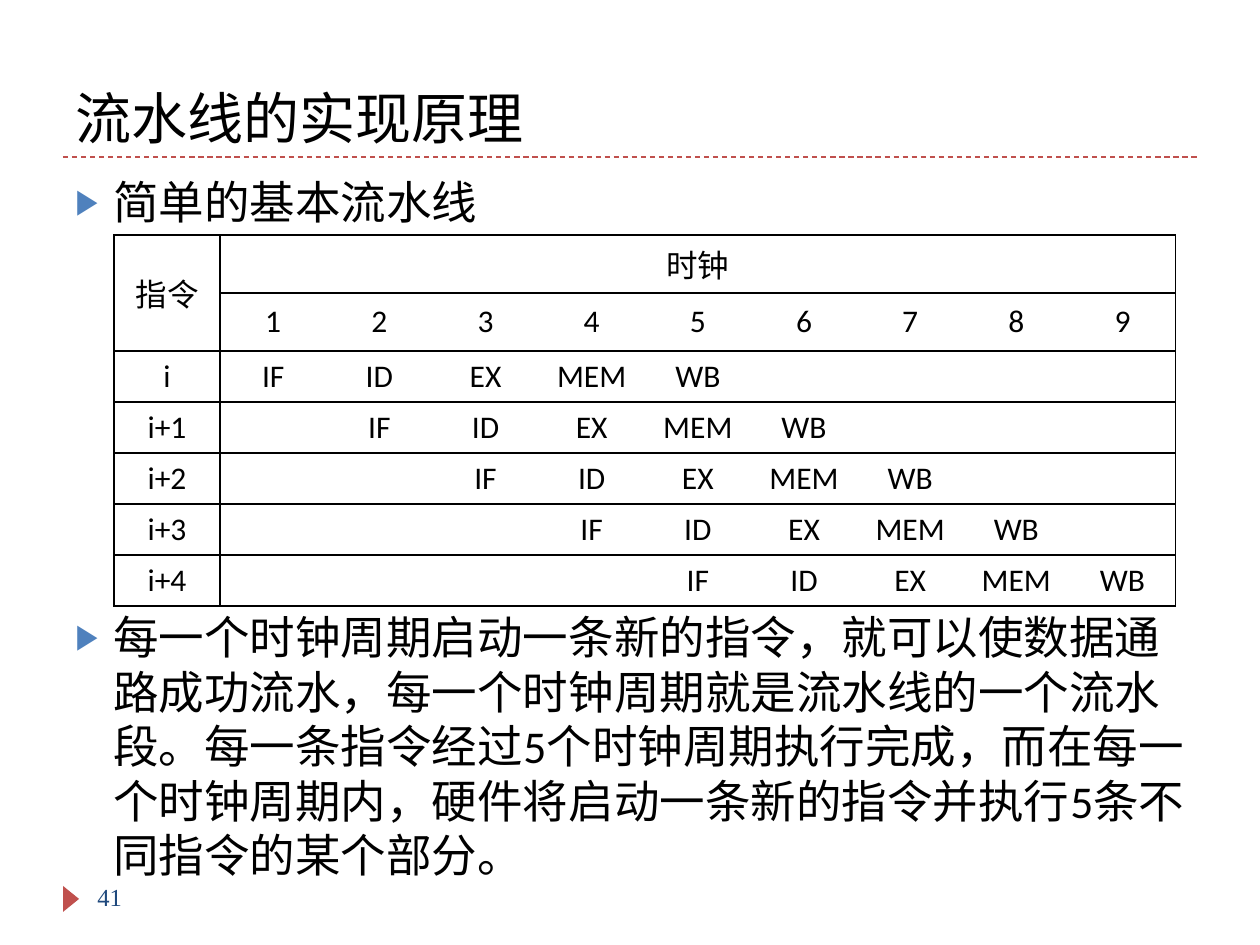
from lxml import etree
from pptx import Presentation
from pptx.dml.color import RGBColor
from pptx.enum.dml import MSO_LINE
from pptx.enum.shapes import MSO_CONNECTOR, MSO_SHAPE
from pptx.enum.text import MSO_ANCHOR, PP_ALIGN
from pptx.oxml.ns import qn
from pptx.util import Pt

PX = 914400 // 126
BLACK = RGBColor(0x00, 0x00, 0x00)
RED = RGBColor(0xC0, 0x50, 0x4D)
BLUE = RGBColor(0x4F, 0x81, 0xBD)
NAVY = RGBColor(0x1F, 0x49, 0x7D)
SANS, SERIF = "Calibri", "Times New Roman"
DASH = MSO_LINE.DASH
LINE = MSO_CONNECTOR.STRAIGHT
TRIANGLE = MSO_SHAPE.ISOSCELES_TRIANGLE
TOP, MIDDLE, BOTTOM = MSO_ANCHOR.TOP, MSO_ANCHOR.MIDDLE, MSO_ANCHOR.BOTTOM
CENTER = PP_ALIGN.CENTER

STAGES = ["IF", "ID", "EX", "MEM", "WB"]
CLOCKS = 9
DETAIL = (
    "每一个时钟周期启动一条新的指令，就可以使数据通路成功流水，"
    "每一个时钟周期就是流水线的一个流水段。每一条指令经过5个时钟周期执行完成，"
    "而在每一个时钟周期内，硬件将启动一条新的指令并执行5条不同指令的某个部分。"
)


def px(*vals):
    return [val * PX for val in vals]


def add_run(para, text, size, color=BLACK, face=SANS):
    run = para.add_run()
    run.text = text
    run.font.size = Pt(size)
    run.font.name = face
    run.font.color.rgb = color


def add_text(slide, box, text, size, color=BLACK, face=SANS, anchor=TOP):
    frame = slide.shapes.add_textbox(*px(*box)).text_frame
    frame.word_wrap = True
    frame.vertical_anchor = anchor
    para = frame.paragraphs[0]
    add_run(para, text, size, color, face)
    return para


def add_point(slide, box, text):
    """Add a paragraph with a blue arrow bullet and a hanging indent."""
    para = add_text(slide, box, text, 26)
    props = para._p.get_or_add_pPr()
    props.set("marL", str(38 * PX))
    props.set("indent", str(-38 * PX))
    tint = etree.SubElement(props, qn("a:buClr"))
    etree.SubElement(tint, qn("a:srgbClr"), val=str(BLUE))
    etree.SubElement(props, qn("a:buSzPct"), val="76000")
    etree.SubElement(props, qn("a:buFont"), typeface="Arial")
    etree.SubElement(props, qn("a:buChar"), char="▶")


def add_rule(slide, left, right, top):
    rule = slide.shapes.add_connector(LINE, *px(left, top, right, top))
    rule.line.color.rgb = RED
    rule.line.width = Pt(0.75)
    rule.line.dash_style = DASH
    etree.SubElement(rule._element.spPr, qn("a:effectLst"))


def add_marker(slide, box):
    mark = slide.shapes.add_shape(TRIANGLE, *px(*box))
    mark.rotation = 90
    mark.shadow.inherit = False
    mark.fill.solid()
    mark.fill.fore_color.rgb = RED
    mark.line.fill.background()


def set_edges(cell, shown):
    """Draw the sides named in shown (L, R, T, B) and hide the others."""
    props = cell._tc.get_or_add_tcPr()
    for side in "LRTB":
        edge = etree.SubElement(props, qn("a:ln" + side), w=str(Pt(1)))
        if side in shown:
            fill = etree.SubElement(edge, qn("a:solidFill"))
            etree.SubElement(fill, qn("a:srgbClr"), val=str(BLACK))
        else:
            etree.SubElement(edge, qn("a:noFill"))


def stage_rows():
    """Shift the five stages one clock to the right in each row."""
    for step in range(len(STAGES)):
        name = f"i+{step}" if step else "i"
        rest = CLOCKS - len(STAGES) - step
        yield [name] + [""] * step + STAGES + [""] * rest


def add_grid(slide, left, top, width):
    rows = [["指令", "时钟"] + [""] * (CLOCKS - 1),
            [""] + [str(num + 1) for num in range(CLOCKS)],
            *stage_rows()]
    tall = [58, 58] + [51] * len(STAGES)
    cols = CLOCKS + 1
    frame = slide.shapes.add_table(
        len(rows), cols, *px(left, top, width, sum(tall)))
    table = frame.table
    table.first_row = table.horz_banding = False
    for col in table.columns:
        col.width = width * PX // cols
    for row, high in zip(table.rows, tall):
        row.height = high * PX
    for r, row in enumerate(rows):
        for c, text in enumerate(row):
            cell = table.cell(r, c)
            sides = "TB" + ("LR" if c == 0 else "")
            sides += {1: "L", CLOCKS: "R"}.get(c, "")
            if r == 0 and c > 0:
                sides = "LRTB"
            set_edges(cell, sides)
            cell.fill.background()
            cell.vertical_anchor = MIDDLE
            para = cell.text_frame.paragraphs[0]
            para.alignment = CENTER
            if text:
                add_run(para, text, 18)
    table.cell(0, 0).merge(table.cell(1, 0))
    table.cell(0, 1).merge(table.cell(0, CLOCKS))


def main():
    deck = Presentation()
    deck.slide_width, deck.slide_height = px(1260, 945)
    slide = deck.slides.add_slide(deck.slide_layouts[6])
    add_marker(slide, (58, 891, 26, 16))
    add_rule(slide, 63, 1197, 157)
    add_text(slide, (63, 21, 1134, 136), "流水线的实现原理", 32, anchor=BOTTOM)
    add_point(slide, (63, 168, 1134, 66), "简单的基本流水线")
    add_point(slide, (63, 603, 1134, 285), DETAIL)
    add_text(slide, (85, 876, 273, 50), "41", 14, NAVY, SERIF)
    add_grid(slide, 114, 235, 1062)
    deck.save("out.pptx")


if __name__ == "__main__":
    main()
